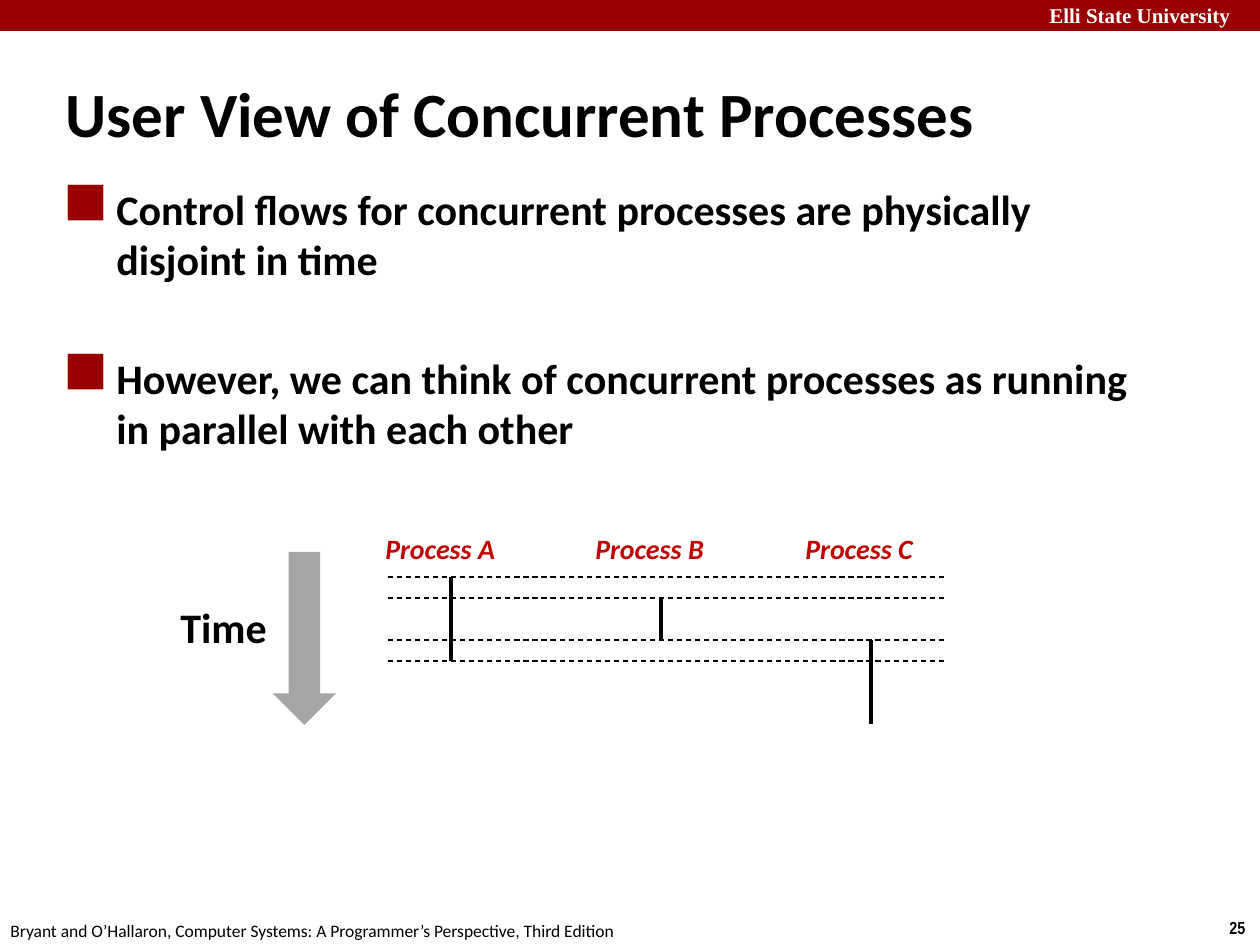
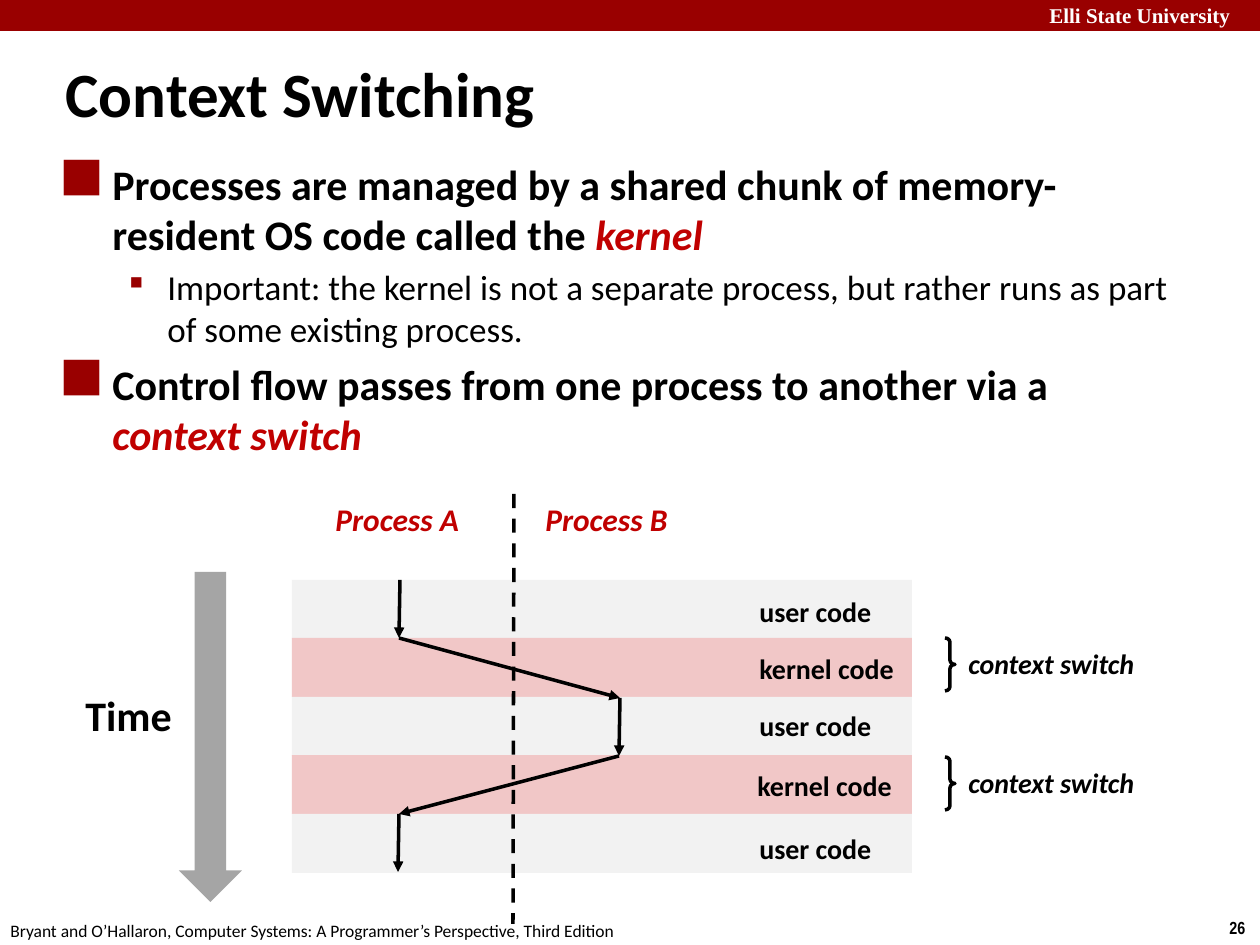
from itertools import pairwise

from lxml.etree import SubElement as Sub
from pptx import Presentation
from pptx.dml.color import RGBColor as Rgb
from pptx.enum.dml import MSO_LINE as Dash
from pptx.enum.shapes import MSO_CONNECTOR as Link, MSO_SHAPE as Kind
from pptx.enum.text import MSO_ANCHOR as Anchor, MSO_AUTO_SIZE as Fit, PP_ALIGN as Align
from pptx.oxml.ns import qn
from pptx.util import Emu, Pt

SCALE = 914400 // 126
FONT = "Calibri"
HUES = {
    "band": "990000", "term": "C00000", "ink": "000000", "paper": "FFFFFF",
    "arrow": "A5A5A5", "user": "F2F2F2", "kernel": "F1C7C7",
}
BULLETS = [
    {"mark": "¢", "face": "Wingdings 2", "left": 47, "hang": 47, "size": 24, "bold": True},
    {"mark": "§", "face": "Wingdings", "left": 102, "hang": 39, "size": 20, "bold": False},
]


def px(*vals):
    return [Emu(round(val * SCALE)) for val in vals]


def hue(name):
    return Rgb.from_string(HUES[name])


def style(run, size, tint="ink", bold=True, slant=False, face=FONT):
    font = run.font
    font.name, font.size = face, Pt(size)
    font.bold, font.italic = bold, slant
    font.color.rgb = hue(tint)


def indent(para, left, hang):
    props = para._p.get_or_add_pPr()
    props.set("marL", str(left * SCALE))
    props.set("indent", str(-hang * SCALE))
    return props


def label(slide, box, text, size, **look):
    frame = slide.shapes.add_textbox(*px(*box)).text_frame
    frame.word_wrap = False
    frame.text = text
    style(frame.paragraphs[0].runs[0], size, **look)


def block(slide, kind, box, fill):
    shape = slide.shapes.add_shape(kind, *px(*box))
    shape.shadow.inherit = False
    shape.fill.solid()
    shape.fill.fore_color.rgb = hue(fill)
    shape.line.fill.background()


def brace(slide, box):
    shape = slide.shapes.add_shape(Kind.RIGHT_BRACE, *px(*box))
    shape.shadow.inherit = False
    shape.adjustments[0] = 0.42
    shape.fill.background()
    shape.line.color.rgb = hue("ink")
    shape.line.width = Pt(2)


def line(slide, start, end, width=2, dash=False, head=False):
    link = slide.shapes.add_connector(Link.STRAIGHT, *px(*start, *end))
    link.line.color.rgb = hue("ink")
    link.line.width = Pt(width)
    if dash:
        link.line.dash_style = Dash.DASH
    if head:
        Sub(link.line._get_or_add_ln(), qn("a:tailEnd"), type="triangle")
    Sub(link._element.spPr, qn("a:effectLst"))


def title(slide, box, text):
    shape = slide.shapes.title
    shape.left, shape.top, shape.width, shape.height = px(*box)
    frame = shape.text_frame
    frame.text = text
    frame.auto_size = Fit.NONE
    frame.vertical_anchor = Anchor.MIDDLE
    para = frame.paragraphs[0]
    para.alignment = Align.LEFT
    indent(para, 16, 16)
    style(para.runs[0], 36)


def body(slide, box, items):
    frame = slide.shapes.add_textbox(*px(*box)).text_frame
    frame.word_wrap = True
    for num, (level, gap, text, term) in enumerate(items):
        para = frame.add_paragraph() if num else frame.paragraphs[0]
        look = BULLETS[level]
        para.level = level
        para.space_before = Pt(gap)
        props = indent(para, look["left"], look["hang"])
        tint = Sub(props, qn("a:buClr"))
        Sub(tint, qn("a:srgbClr"), val=HUES["band"])
        Sub(props, qn("a:buFont"), typeface=look["face"], charset="2")
        Sub(props, qn("a:buChar"), char=look["mark"])
        para.text = text
        style(para.runs[0], look["size"], bold=look["bold"])
        if term:
            run = para.add_run()
            run.text = term
            style(run, look["size"], tint="term", slant=True)


def clock(slide, arrow, spot):
    label(slide, (*spot, 112, 63), "Time", 24)
    block(slide, Kind.DOWN_ARROW, arrow, "arrow")


def heads(slide, left, top, names, size):
    for num, name in enumerate(names):
        box = (left + 210 * num, top, 137 if size == 16 else 151, 48)
        label(slide, box, f"Process {name}", size, tint="term", slant=True)


def page(deck, num):
    slide = deck.slides.add_slide(deck.slide_layouts[5])
    block(slide, Kind.RECTANGLE, (0, 0, 1260, 31), "band")
    label(slide, (1037, -4, 232, 38), "Elli State University", 12,
          tint="paper", face="Times New Roman")
    label(slide, (1217, 911, 43, 34), str(num), 10, face="Arial Narrow")
    label(slide, (-2, 914, 640, 34),
          "Bryant and O’Hallaron, Computer Systems: "
          "A Programmer’s Perspective, Third Edition", 10, bold=False)
    return slide


def views(deck):
    slide = page(deck, 25)
    title(slide, (53, 73, 1166, 79), "User View of Concurrent Processes")
    body(slide, (57, 177, 1089, 275), [
        (0, 0, "Control flows for concurrent processes are physically "
               "disjoint in time", ""),
        (0, 39, "However, we can think of concurrent processes as running "
                "in parallel with each other", ""),
    ])
    heads(slide, 373, 525, "ABC", 16)
    for row in (577, 598, 640, 661):
        line(slide, (388, row), (945, row), 0.75, dash=True)
    spans = [(577, 619, 661), (598, 640), (640, 682, 724)]
    for num, span in enumerate(spans):
        col = 451 + 210 * num
        for top, end in pairwise(span):
            line(slide, (col, top), (col, end))
    clock(slide, (273, 552, 63, 173), (168, 595))


def switch(deck):
    slide = page(deck, 26)
    title(slide, (53, 53, 805, 79), "Context Switching")
    body(slide, (53, 152, 1143, 352), [
        (0, 0, "Processes are managed by a shared chunk of memory-resident "
               "OS code called the ", "kernel"),
        (1, 4, "Important: the kernel is not a separate process, but rather "
               "runs as part of some existing process.", ""),
        (0, 4.8, "Control flow passes from one process to another via a ",
         "context switch"),
    ])
    spots = [(747, 588), (747, 645), (747, 702), (745, 762), (747, 825)]
    for num, spot in enumerate(spots):
        mode = "kernel" if num % 2 else "user"
        block(slide, Kind.RECTANGLE, (292, 580 + 117 * num // 2, 620, 59), mode)
        label(slide, (*spot, 161 if num % 2 else 139, 47), f"{mode} code", 16)
    heads(slide, 323, 494, "AB", 18)
    line(slide, (514, 494), (513, 924), dash=True)
    flow = [(400, 580), (399, 638), (620, 698), (619, 756), (399, 814), (398, 872)]
    for start, end in pairwise(flow):
        line(slide, start, end, head=True)
    for top in (638, 757):
        brace(slide, (945, top, 10, 53))
        label(slide, (956, top + 2, 194, 47), "context switch", 16, slant=True)
    clock(slide, (179, 572, 63, 330), (73, 683))


def main():
    deck = Presentation()
    deck.slide_width, deck.slide_height = px(1260, 945)
    views(deck)
    switch(deck)
    deck.save("out.pptx")


main()
